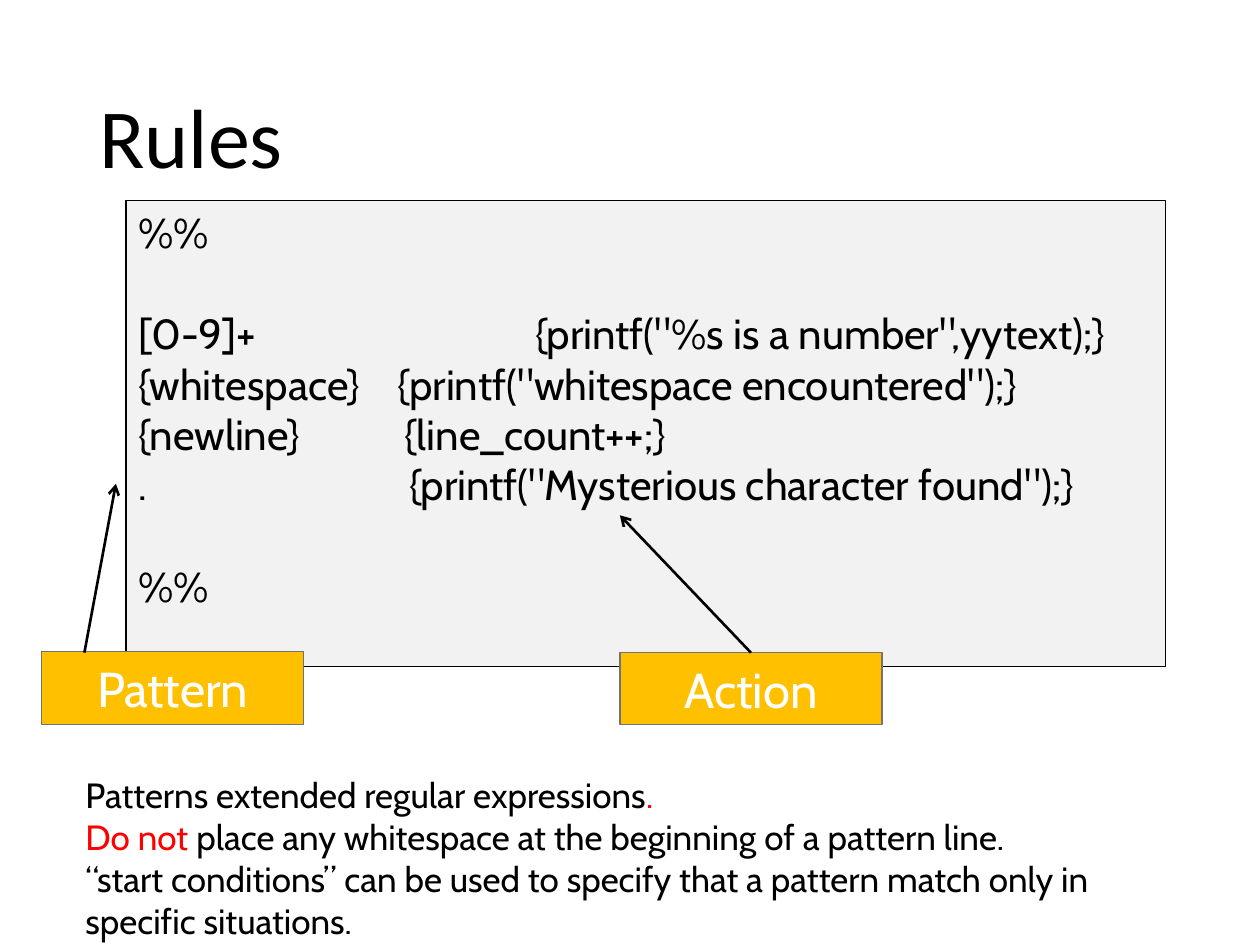
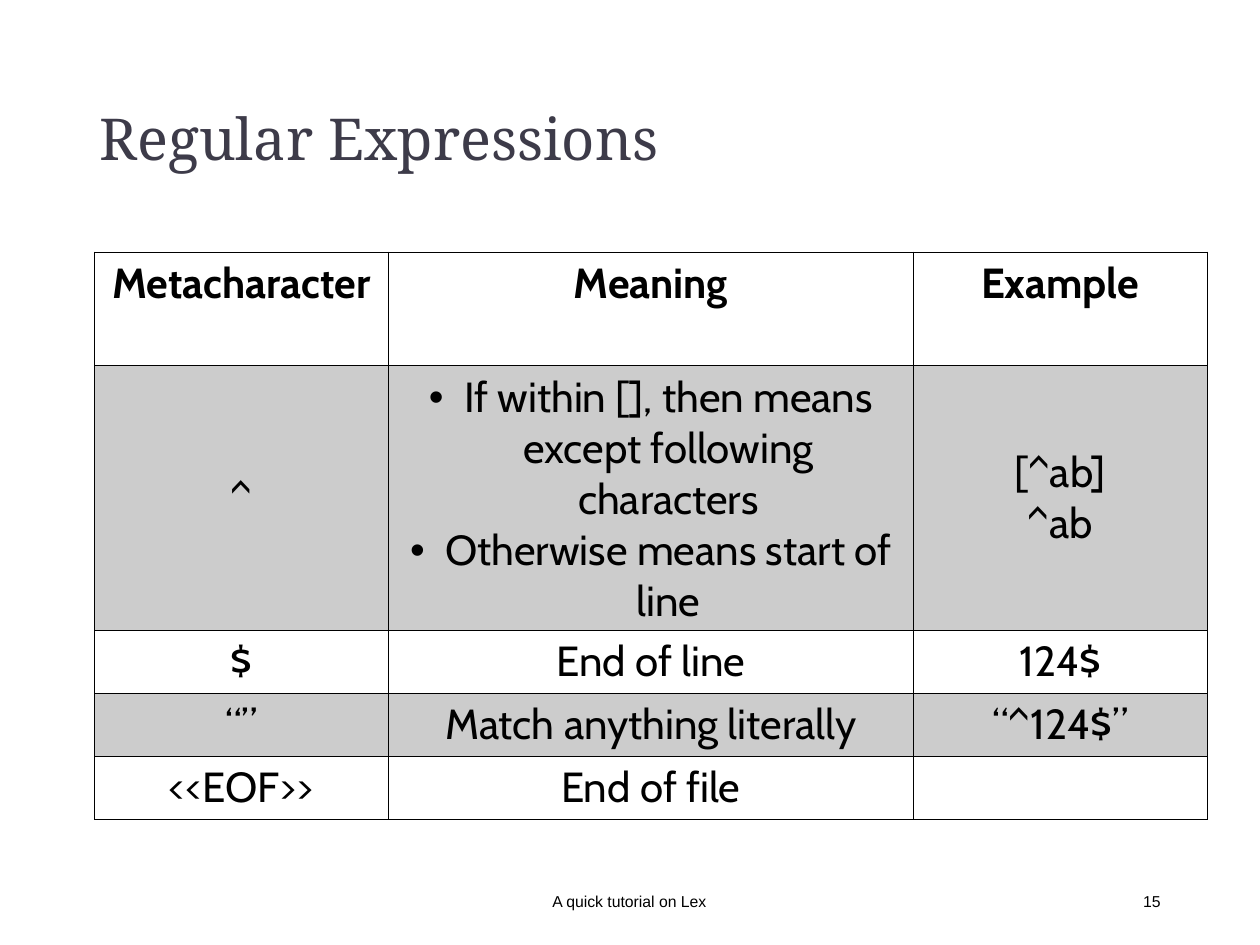
import dataclasses

import lxml.etree
import pptx
import pptx.dml.color
import pptx.enum.shapes
import pptx.enum.text
import pptx.oxml.ns
import pptx.util

Inches = pptx.util.Inches
Pt = pptx.util.Pt
Align = pptx.enum.text.PP_ALIGN
Anchor = pptx.enum.text.MSO_ANCHOR
qn = pptx.oxml.ns.qn


@dataclasses.dataclass(frozen=True)
class Theme:
    black: str = "000000"
    white: str = "FFFFFF"
    red: str = "FF0000"
    code_fill: str = "F2F2F2"
    label_fill: str = "FFC000"
    label_line: str = "767171"
    band: str = "CCCCCC"
    heading: str = "3D3B49"
    body_font: str = "Cabin"
    footer_font: str = "Arial"
    label_size: float = 28
    code_size: float = 24
    code_line: float = 29
    table_size: float = 24
    note_size: float = 20
    footer_size: float = 9
    thin: float = 0.45
    thick: float = 0.96


def color(value):
    return pptx.dml.color.RGBColor.from_string(value)


class Deck:
    """Holds the theme and the slide being built."""

    def __init__(self, theme):
        self.theme = theme
        self.presentation = pptx.Presentation()
        self.presentation.slide_width = Inches(10)
        self.presentation.slide_height = Inches(7.5)
        self.slide = None

    def new_slide(self):
        self.slide = self.presentation.slides.add_slide(
            self.presentation.slide_layouts[6])

    def style(self, paragraph, size, font=None, ink=None, bold=False,
              align=Align.LEFT):
        paragraph.alignment = align
        for run in paragraph.runs:
            run.font.size = Pt(size)
            run.font.name = font or self.theme.body_font
            run.font.bold = bold
            run.font.color.rgb = color(ink or self.theme.black)

    def text(self, box, content, size, anchor=Anchor.MIDDLE, **look):
        shape = self.slide.shapes.add_textbox(*map(Inches, box))
        frame = shape.text_frame
        frame.word_wrap = True
        frame.vertical_anchor = anchor
        frame.text = content
        for paragraph in frame.paragraphs:
            self.style(paragraph, size, **look)
        return frame

    def title(self, content, size, font, ink):
        frame = self.text((0.69, 0.4, 8.63, 1.45), content, size,
                          font=font, ink=ink)
        frame.paragraphs[0].line_spacing = 0.9

    def footer(self, content, number):
        parts = ((3.31, 3.37, content, Align.CENTER),
                 (7.06, 2.25, number, Align.RIGHT))
        for left, width, words, align in parts:
            self.text((left, 6.95, width, 0.4), words, self.theme.footer_size,
                      font=self.theme.footer_font, align=align)

    def rectangle(self, box, fill, line, line_width, anchor):
        shape = self.slide.shapes.add_shape(
            pptx.enum.shapes.MSO_SHAPE.RECTANGLE, *map(Inches, box))
        shape.shadow.inherit = False
        shape.fill.solid()
        shape.fill.fore_color.rgb = color(fill)
        shape.line.color.rgb = color(line)
        shape.line.width = Pt(line_width)
        shape.text_frame.word_wrap = True
        shape.text_frame.vertical_anchor = anchor
        return shape.text_frame

    def label(self, box, content):
        theme = self.theme
        frame = self.rectangle(box, theme.label_fill, theme.label_line, 1,
                               Anchor.MIDDLE)
        frame.text = content
        self.style(frame.paragraphs[0], theme.label_size, ink=theme.white,
                   align=Align.CENTER)

    def code(self, box, lines):
        """Each line is (text, tab stop or None, blank lines above)."""
        theme = self.theme
        frame = self.rectangle(box, theme.code_fill, theme.black, 0.75,
                               Anchor.TOP)
        frame.text = "\n".join(line[0] for line in lines)
        for paragraph, (_, stop, gap) in zip(frame.paragraphs, lines):
            if stop:
                tabs = lxml.etree.SubElement(
                    paragraph._p.get_or_add_pPr(), qn("a:tabLst"))
                lxml.etree.SubElement(tabs, qn("a:tab"),
                                      pos=str(Inches(stop)), algn="l")
            if gap:
                paragraph.space_before = Pt(gap * theme.code_line)
            self.style(paragraph, theme.code_size)

    def arrow(self, start, end):
        connector = self.slide.shapes.add_connector(
            pptx.enum.shapes.MSO_CONNECTOR.STRAIGHT,
            *map(Inches, start + end))
        connector.line.color.rgb = color(self.theme.black)
        connector.line.width = Pt(1.5)
        properties = connector._element.spPr
        lxml.etree.SubElement(properties.find(qn("a:ln")), qn("a:tailEnd"),
                              type="arrow")
        lxml.etree.SubElement(properties, qn("a:effectLst"))

    def notes(self, box, lines):
        """Each line is a list of (text, colour) runs."""
        frame = self.text(box, "\n".join("" for _ in lines),
                          self.theme.note_size, anchor=Anchor.TOP)
        for paragraph, runs in zip(frame.paragraphs, lines):
            for words, ink in runs:
                paragraph.add_run().text = words
            self.style(paragraph, self.theme.note_size)
            for run, (_, ink) in zip(paragraph.runs, runs):
                run.font.color.rgb = color(ink)

    def border(self, cell, widths):
        properties = cell._tc.get_or_add_tcPr()
        for side, width in zip("LRTB", widths):
            line = lxml.etree.SubElement(properties, qn("a:ln" + side),
                                         w=str(Pt(width)))
            fill = lxml.etree.SubElement(line, qn("a:solidFill"))
            lxml.etree.SubElement(fill, qn("a:srgbClr"), val=self.theme.black)

    def bullet(self, paragraph, indent):
        properties = paragraph._p.get_or_add_pPr()
        properties.set("marL", str(Inches(indent)))
        properties.set("indent", str(-Inches(indent)))
        lxml.etree.SubElement(properties, qn("a:buFont"), typeface="Arial")
        lxml.etree.SubElement(properties, qn("a:buChar"), char="•")

    def table(self, box, widths, heights, rows, bulleted):
        theme = self.theme
        table = self.slide.shapes.add_table(
            len(rows), len(widths), *map(Inches, box)).table
        table.first_row = table.horz_banding = False
        for column, width in zip(table.columns, widths):
            column.width = Inches(width)
        for row, height in zip(table.rows, heights):
            row.height = Inches(height)
        for r, row in enumerate(rows):
            top = theme.thick if r == 1 else theme.thin
            bottom = theme.thick if r == 0 else theme.thin
            for c, content in enumerate(row):
                cell = table.cell(r, c)
                self.border(cell, (theme.thin, theme.thin, top, bottom))
                cell.fill.solid()
                cell.fill.fore_color.rgb = color(
                    theme.band if r % 2 else theme.white)
                cell.vertical_anchor = Anchor.MIDDLE if r else Anchor.TOP
                cell.text_frame.text = content
                for paragraph in cell.text_frame.paragraphs:
                    if (r, c) == bulleted:
                        self.bullet(paragraph, 0.28)
                    self.style(paragraph, theme.table_size, bold=r == 0,
                               align=Align.CENTER)


def build_rules(deck):
    theme = deck.theme
    deck.new_slide()
    deck.title("Rules", 48, "Calibri", theme.black)

    # Rules section of the lexer file
    deck.code((1, 1.59, 8.25, 3.7), [
        ("%%", None, 0),
        ('[0-9]+\t{printf("%s is a number",yytext);}', 3.15, 1),
        ('{whitespace}\t{printf("whitespace encountered");}', 2.06, 0),
        ("{newline}\t{line_count++;}", 2.11, 0),
        ('.\t{printf("Mysterious character found");}', 2.15, 0),
        ("%%", None, 1),
    ])

    # Labels and their arrows
    deck.label((0.33, 5.17, 2.08, 0.58), "Pattern")
    deck.label((4.92, 5.18, 2.08, 0.57), "Action")
    deck.arrow((0.67, 5.18), (0.92, 3.84))
    deck.arrow((5.96, 5.18), (4.92, 4.09))

    # Remarks
    deck.notes((0.58, 6.09, 8.92, 1.4), [
        [("Patterns extended regular expressions", theme.black),
         (".", theme.red)],
        [("Do not ", theme.red),
         ("place any whitespace at the beginning of a pattern line.",
          theme.black)],
        [("“start conditions” can be used to specify that a pattern match "
          "only in specific situations.", theme.black)],
    ])


def build_regular_expressions(deck):
    deck.new_slide()
    deck.title("Regular Expressions", 33, "Noto Serif", deck.theme.heading)
    deck.footer("A quick tutorial on Lex", "15")

    # Metacharacter table
    deck.table((0.75, 2, 8.83, 4.5), (2.33, 4.17, 2.33),
               (0.9, 2.1, 0.5, 0.5, 0.5), [
        ("Metacharacter", "Meaning", "Example"),
        ("^", "If within [], then means except following characters\n"
              "Otherwise means start of line", "[^ab]\n^ab"),
        ("$", "End of line", "124$"),
        ("“”", "Match anything literally", "“^124$”"),
        ("<<EOF>>", "End of file", ""),
    ], bulleted=(1, 1))


def main():
    deck = Deck(Theme())
    build_rules(deck)
    build_regular_expressions(deck)
    deck.presentation.save("out.pptx")


if __name__ == "__main__":
    main()
